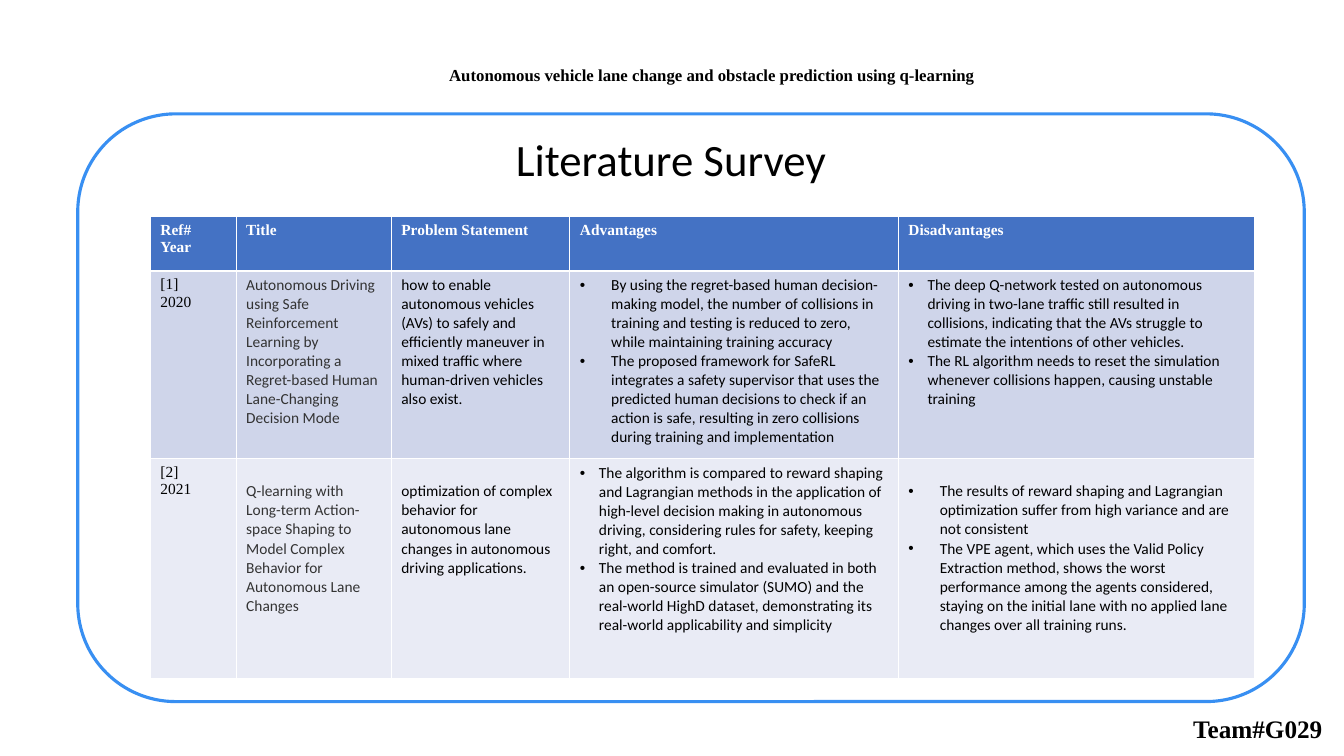
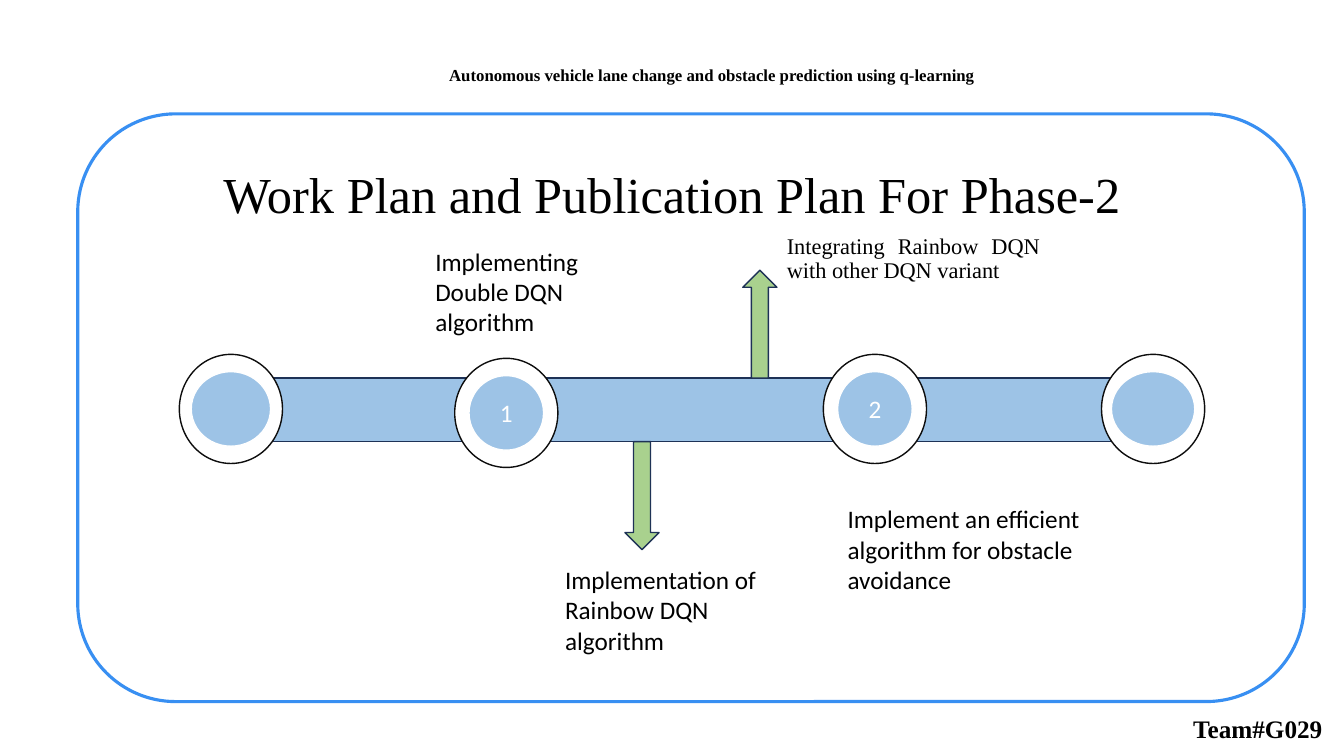
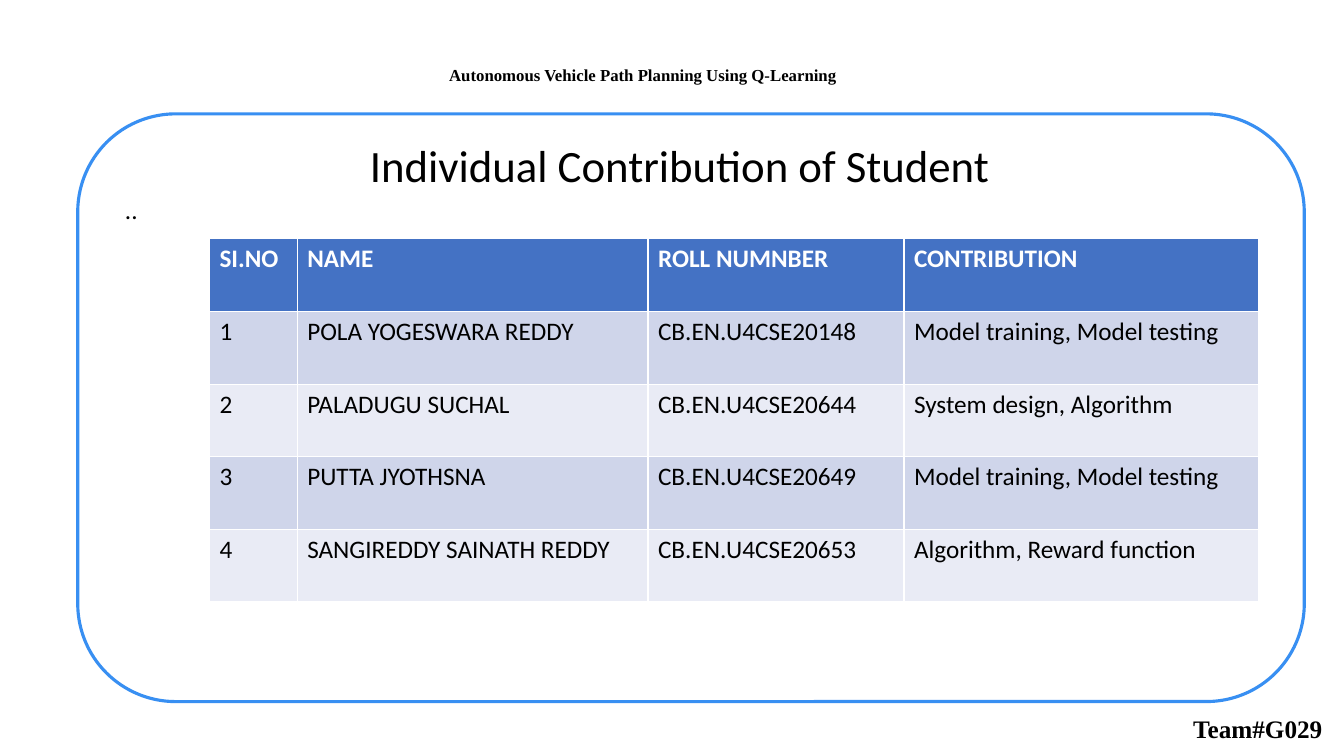
from pptx import Presentation
from pptx.dml.color import RGBColor
from pptx.enum.shapes import MSO_SHAPE
from pptx.enum.text import MSO_ANCHOR, PP_ALIGN
from pptx.oxml.ns import qn
from pptx.util import Cm, Pt
from lxml.etree import SubElement

SANS, SERIF = "Calibri", "Times New Roman"
BLACK, WHITE, GREY = "000000", "FFFFFF", "333333"
FRAME_BLUE, HEADER_BLUE = "388FF2", "4472C4"
BAND_FILLS = ("E9EBF5", "CFD5EA")
TRACK_BLUE, ARROW_GREEN, NAVY, RING_BLACK = "9DC3E6", "A9D18E", "1E3256", "0D0D0D"
LANE_CHANGE = "Autonomous vehicle lane change and obstacle prediction using q-learning"
PATH_PLANNING = "Autonomous Vehicle Path Planning Using Q-Learning"

SURVEY = (
    ("Ref#\nYear", "Title", "Problem Statement", "Advantages", "Disadvantages"),
    ("[1]\n2020",
     "Autonomous Driving using Safe Reinforcement Learning by\v"
     "Incorporating a Regret-based Human Lane-Changing Decision Mode",
     "how to enable autonomous vehicles (AVs) to safely and efficiently maneuver "
     "in mixed traffic where human-driven vehicles also exist.",
     "By using the regret-based human decision-making model, the number of collisions "
     "in training and testing is reduced to zero, while maintaining training accuracy\n"
     "The proposed framework for SafeRL integrates a safety supervisor that uses the "
     "predicted human decisions to check if an action is safe, resulting in zero "
     "collisions during training and implementation",
     "The deep Q-network tested on autonomous driving in two-lane traffic still resulted "
     "in collisions, indicating that the AVs struggle to estimate the intentions of "
     "other vehicles.\n"
     "The RL algorithm needs to reset the simulation whenever collisions happen, "
     "causing unstable training"),
    ("[2]\n2021",
     "Q-learning with Long-term Action-space Shaping to Model Complex\v"
     "Behavior for Autonomous Lane Changes",
     "optimization of complex behavior for autonomous lane changes in autonomous "
     "driving applications.",
     "The algorithm is compared to reward shaping and Lagrangian methods in the "
     "application of high-level decision making in autonomous driving, considering "
     "rules for safety, keeping right, and comfort.\n"
     "The method is trained and evaluated in both an open-source simulator (SUMO) and "
     "the real-world HighD dataset, demonstrating its real-world applicability and "
     "simplicity",
     "The results of reward shaping and Lagrangian optimization suffer from high "
     "variance and are not consistent\n"
     "The VPE agent, which uses the Valid Policy Extraction method, shows the worst "
     "performance among the agents considered, staying on the initial lane with no "
     "applied lane changes over all training runs."),
)
BULLET_INDENTS = {(1, 3): 0.79, (1, 4): 0.48, (2, 3): 0.48, (2, 4): 0.79}
LOWERED_CELLS = ((2, 1), (2, 2), (2, 4))

CONTRIBUTIONS = (
    ("SI.NO", "NAME", "ROLL NUMNBER", "CONTRIBUTION"),
    ("1", "POLA YOGESWARA REDDY", "CB.EN.U4CSE20148", "Model training, Model testing"),
    ("2", "PALADUGU SUCHAL", "CB.EN.U4CSE20644", "System design, Algorithm"),
    ("3", "PUTTA JYOTHSNA", "CB.EN.U4CSE20649", "Model training, Model testing"),
    ("4", "SANGIREDDY SAINATH REDDY", "CB.EN.U4CSE20653", "Algorithm, Reward function"),
)


def color(hex_string):
    return RGBColor.from_string(hex_string)


def style_text(text_frame, size, font=SANS, hex_string=BLACK, bold=False):
    for paragraph in text_frame.paragraphs:
        for run in paragraph.runs:
            run.font.size = Pt(size)
            run.font.name = font
            run.font.bold = bold
            run.font.color.rgb = color(hex_string)


def add_text(slide, box, text, size, font=SANS, bold=False):
    text_frame = slide.shapes.add_textbox(*map(Cm, box)).text_frame
    text_frame.word_wrap = True
    text_frame.text = text
    style_text(text_frame, size, font, bold=bold)
    return text_frame


def add_shape(slide, kind, box, fill, line, line_width=1):
    shape = slide.shapes.add_shape(kind, *map(Cm, box))
    shape.shadow.inherit = False
    if fill:
        shape.fill.solid()
        shape.fill.fore_color.rgb = color(fill)
    else:
        shape.fill.background()
    shape.line.color.rgb = color(line)
    shape.line.width = Pt(line_width)
    return shape


def add_framed_slide(presentation, topic):
    """Add a slide with the rounded frame, the topic above it and the team name."""
    slide = presentation.slides.add_slide(presentation.slide_layouts[6])
    add_shape(slide, MSO_SHAPE.ROUNDED_RECTANGLE, (1.96, 2.87, 30.91, 14.81),
              None, FRAME_BLUE, 2.25)
    add_text(slide, (29.82, 17.86, 4, 1.02), "Team#G029", 18, SERIF, True)
    add_text(slide, (11.07, 1.5, 14.86, 0.76), topic, 12, SERIF, True)
    return slide


def add_banded_table(slide, left, top, widths, heights, rows, size):
    box = (left, top, sum(widths), sum(heights))
    table = slide.shapes.add_table(len(rows), len(widths), *map(Cm, box)).table
    for column, width in zip(table.columns, widths):
        column.width = Cm(width)
    for row_index, (row, height) in enumerate(zip(rows, heights)):
        table.rows[row_index].height = Cm(height)
        header = row_index == 0
        for column_index, text in enumerate(row):
            cell = table.cell(row_index, column_index)
            cell.fill.solid()
            cell.fill.fore_color.rgb = color(HEADER_BLUE if header else BAND_FILLS[row_index % 2])
            cell.text_frame.text = text
            style_text(cell.text_frame, size, SANS, WHITE if header else BLACK, header)
    return table


def add_bullets(text_frame, indent):
    for paragraph in text_frame.paragraphs:
        properties = paragraph._p.get_or_add_pPr()
        properties.set("marL", str(Cm(indent)))
        properties.set("indent", str(-Cm(indent)))
        SubElement(properties, qn("a:buFont")).set("typeface", "Arial")
        SubElement(properties, qn("a:buChar")).set("char", "•")


def add_survey_table(slide, left, top):
    size = 11
    table = add_banded_table(slide, left, top, (2.16, 3.91, 4.5, 8.28, 8.97),
                             (1.37, 4.72, 5.56), SURVEY, size)
    for column in range(len(SURVEY[0])):
        style_text(table.cell(0, column).text_frame, size, SERIF, WHITE, True)
    for row in range(1, len(SURVEY)):
        style_text(table.cell(row, 0).text_frame, size, SERIF)
        style_text(table.cell(row, 1).text_frame, size, SANS, GREY)
    for position, indent in BULLET_INDENTS.items():
        add_bullets(table.cell(*position).text_frame, indent)
    for position in LOWERED_CELLS:
        table.cell(*position).margin_top = Cm(0.6)


def add_milestone(slide, left, top, disc_width, label):
    """Add a white ring with a blue disc centred in it."""
    ring_width, ring_height, disc_height = 2.6, 2.75, 1.88
    add_shape(slide, MSO_SHAPE.FLOWCHART_CONNECTOR, (left, top, ring_width, ring_height),
              WHITE, RING_BLACK)
    disc_box = (left + (ring_width - disc_width) / 2, top + (ring_height - disc_height) / 2,
                disc_width, disc_height)
    disc = add_shape(slide, MSO_SHAPE.FLOWCHART_CONNECTOR, disc_box, TRACK_BLUE, WHITE)
    if label:
        text_frame = disc.text_frame
        text_frame.text = label
        text_frame.vertical_anchor = MSO_ANCHOR.MIDDLE
        text_frame.paragraphs[0].alignment = PP_ALIGN.CENTER
        style_text(text_frame, 18, hex_string=WHITE)


def add_timeline(slide, left, top, width, height):
    """Add the track with its milestones, arrows and notes around it."""
    add_shape(slide, MSO_SHAPE.RECTANGLE, (left, top, width, height), TRACK_BLUE, NAVY)
    for x, y, disc_width, label in ((-1.8, -0.6, 2, ""), (5.14, -0.5, 1.88, "1"),
                                    (14.43, -0.6, 1.88, "2"), (21.44, -0.6, 2.1, "")):
        add_milestone(slide, left + x, top + y, disc_width, label)
    arrow_width, arrow_length = 0.86, 2.72
    for kind, x, y in ((MSO_SHAPE.UP_ARROW, 12.4, -arrow_length),
                       (MSO_SHAPE.DOWN_ARROW, 9.43, height)):
        add_shape(slide, kind, (left + x, top + y, arrow_width, arrow_length), ARROW_GREEN, NAVY)
    for x, y, note_width, note in (
            (4.4, -3.46, 5.9, "Implementing Double DQN algorithm"),
            (7.67, 4.57, 6.6, "Implementation of Rainbow DQN algorithm"),
            (14.79, 3.04, 6.76, "Implement an efficient algorithm for obstacle avoidance")):
        add_text(slide, (left + x, top + y, note_width, 2.57), note, 18)
    variant_note = add_text(slide, (left + 13.26, top - 3.74, 6.88, 1.5),
                            "Integrating Rainbow DQN with other DQN variant", 16, SERIF)
    variant_note.paragraphs[0].alignment = PP_ALIGN.JUSTIFY
    variant_note.paragraphs[0].line_spacing = 0.9


def add_survey_slide(presentation):
    slide = add_framed_slide(presentation, LANE_CHANGE)
    add_text(slide, (12.75, 3.2, 10.39, 1.63), "Literature Survey", 32)
    add_survey_table(slide, 3.79, 5.46)


def add_work_plan_slide(presentation):
    slide = add_framed_slide(presentation, LANE_CHANGE)
    title = add_text(slide, (4.24, 3.43, 25.4, 2.34),
                     "Work Plan and Publication Plan For Phase-2", 36, SERIF)
    title.vertical_anchor = MSO_ANCHOR.BOTTOM
    title.paragraphs[0].alignment = PP_ALIGN.CENTER
    title.paragraphs[0].line_spacing = 0.9
    add_timeline(slide, 6.32, 9.53, 21.95, 1.6)


def add_contribution_slide(presentation):
    slide = add_framed_slide(presentation, PATH_PLANNING)
    add_text(slide, (9.07, 3.35, 20.98, 1.63), "Individual Contribution of Student", 32)
    add_text(slide, (2.9, 4.78, 29.34, 1.02), "..", 18)
    add_banded_table(slide, 5.28, 6.02, (2.21, 8.84, 6.45, 8.94),
                     [1.83] * len(CONTRIBUTIONS), CONTRIBUTIONS, 18)


def main():
    presentation = Presentation()
    presentation.slide_width, presentation.slide_height = Cm(33.87), Cm(19.05)
    add_survey_slide(presentation)
    add_work_plan_slide(presentation)
    add_contribution_slide(presentation)
    presentation.save("out.pptx")


if __name__ == "__main__":
    main()
